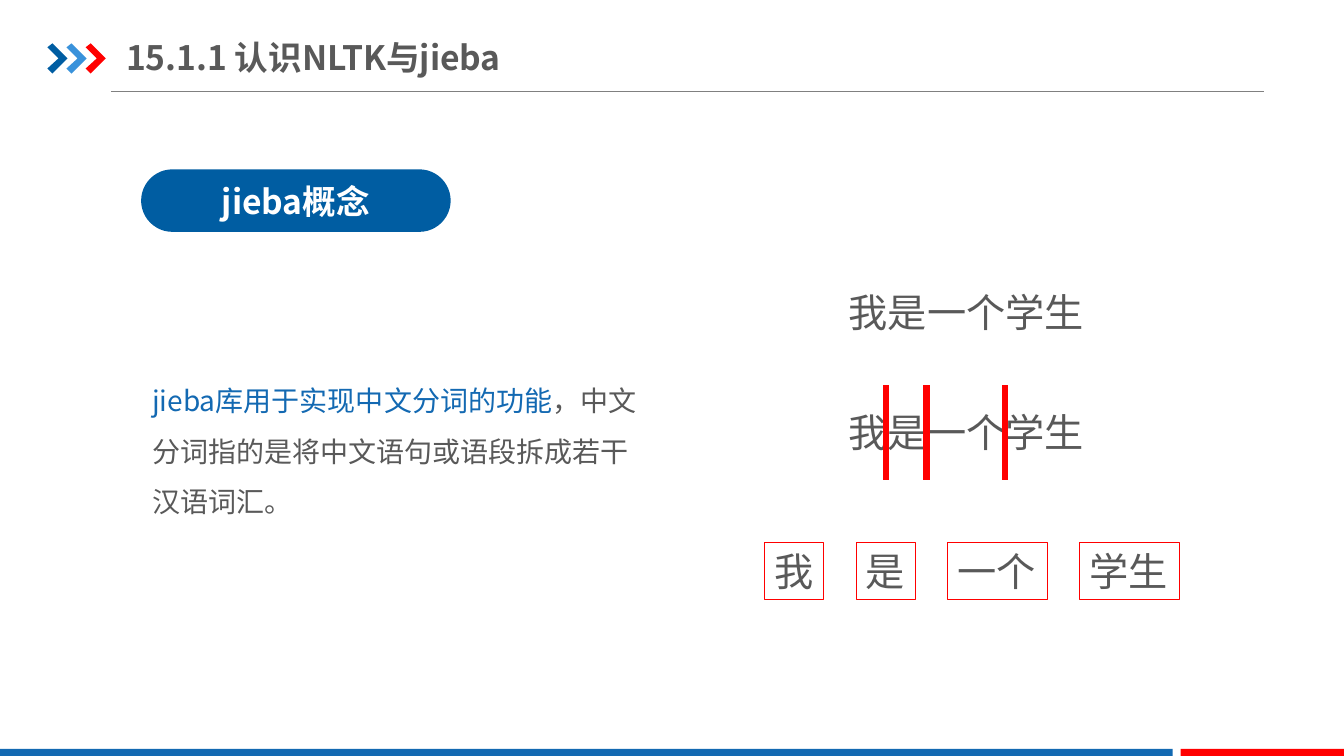
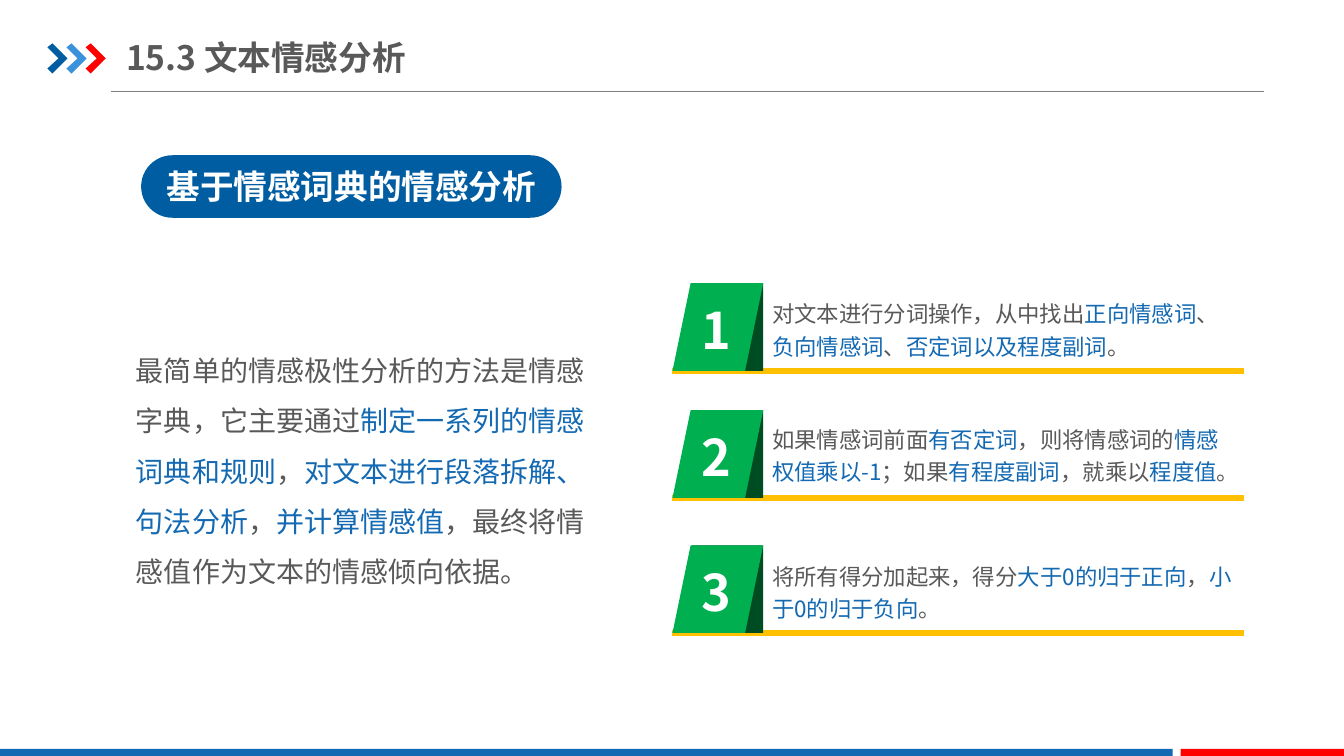
from dataclasses import dataclass

import pptx
import pptx.dml.color
import pptx.enum.shapes
import pptx.enum.text
import pptx.oxml.ns
import pptx.util
from lxml import etree

PX = 9144
FONT = "Noto Sans CJK SC"
COLORS = {
    "navy": "005DA2",
    "sky": "3992DB",
    "blue": "1369B2",
    "red": "FF0000",
    "text": "595959",
    "rule": "808080",
    "white": "FFFFFF",
    "green": "00B050",
    "forest": "004C22",
    "amber": "FFC000",
}
SHAPE = pptx.enum.shapes.MSO_SHAPE
ALIGN = pptx.enum.text.PP_ALIGN
ANCHOR = pptx.enum.text.MSO_ANCHOR
FIT = pptx.enum.text.MSO_AUTO_SIZE
CHEVRON = ((0, 4), (5, 0), (20, 15), (5, 30), (0, 25), (11, 15))


@dataclass(frozen=True)
class Run:
    text: str
    color: str = "text"


@dataclass(frozen=True)
class Style:
    size: int
    bold: bool = False
    align: ALIGN = ALIGN.LEFT
    spacing: float = 1.0


@dataclass(frozen=True)
class Step:
    top: int
    text_top: int
    runs: tuple[Run, ...]


HEADING = Style(24, bold=True)
PILL = Style(24, bold=True, align=ALIGN.CENTER)
BODY = Style(20, spacing=1.5)
SAMPLE = Style(28)
NUMBER = Style(36, bold=True)
STEP_TEXT = Style(16, spacing=1.2)

JIEBA = (
    Run("jieba库用于实现中文分词的功能", "blue"),
    Run("，中文分词指的是将中文语句或语段拆成若干汉语词汇。"),
)
SENTENCE = "我是一个学生"
WORDS = ("我", "是", "一个", "学生")
CUTS = (879, 919, 997)

LEXICON = (
    Run("最简单的情感极性分析的方法是情感字典，它主要通过"),
    Run("制定一系列的情感词典和规则", "blue"),
    Run("，"),
    Run("对文本进行段落拆解、句法分析", "blue"),
    Run("，"),
    Run("并计算情感值", "blue"),
    Run("，最终将情感值作为文本的情感倾向依据。"),
)
STEPS = (
    Step(281, 288, (
        Run("对文本进行分词操作，从中找出"),
        Run("正向情感词", "blue"),
        Run("、"),
        Run("负向情感词", "blue"),
        Run("、"),
        Run("否定词以及程度副词", "blue"),
        Run("。"),
    )),
    Step(407, 412, (
        Run("如果情感词前面"),
        Run("有否定词", "blue"),
        Run("，则将情感词的"),
        Run("情感权值乘以-1", "blue"),
        Run("；如果"),
        Run("有程度副词", "blue"),
        Run("，就乘以"),
        Run("程度值", "blue"),
        Run("。"),
    )),
    Step(541, 548, (
        Run("将所有得分加起来，得分"),
        Run("大于0的归于正向", "blue"),
        Run("，"),
        Run("小于0的归于负向", "blue"),
        Run("。"),
    )),
)


def px(*lengths: int) -> list[int]:
    return [pptx.util.Emu(n * PX) for n in lengths]


def rgb(name: str) -> pptx.dml.color.RGBColor:
    return pptx.dml.color.RGBColor.from_string(COLORS[name])


def write(tf, runs: tuple[Run, ...], style: Style) -> None:
    p = tf.paragraphs[0]
    p.alignment = style.align
    p.line_spacing = style.spacing
    for run in runs:
        r = p.add_run()
        r.text = run.text
        r.font.size = pptx.util.Pt(style.size)
        r.font.bold = style.bold
        r.font.name = FONT
        r.font.color.rgb = rgb(run.color)
        ea = etree.SubElement(r.font.language_id and r.font._element or r._r.get_or_add_rPr(),
                              pptx.oxml.ns.qn("a:ea"))
        ea.set("typeface", FONT)


def paint(sp, fill: str | None = None, line: str | None = None) -> None:
    sp.shadow.inherit = False
    if fill:
        sp.fill.solid()
        sp.fill.fore_color.rgb = rgb(fill)
    else:
        sp.fill.background()
    if line:
        sp.line.color.rgb = rgb(line)
        sp.line.width = pptx.util.Pt(0.75)
    else:
        sp.line.fill.background()


def block(s, kind: SHAPE, box: tuple[int, ...], fill: str | None = None, line: str | None = None):
    sp = s.shapes.add_shape(kind, *px(*box))
    paint(sp, fill, line)
    return sp


def label(s, box: tuple[int, ...], runs: tuple[Run, ...], style: Style, wrap: bool = True) -> None:
    tf = s.shapes.add_textbox(*px(*box)).text_frame
    tf.word_wrap = wrap
    tf.auto_size = FIT.SHAPE_TO_FIT_TEXT
    write(tf, runs, style)


def stroke(s, ends: tuple[int, ...], color: str, width: float) -> None:
    line = s.shapes.add_connector(pptx.enum.shapes.MSO_CONNECTOR.STRAIGHT, *px(*ends))
    line.line.color.rgb = rgb(color)
    line.line.width = pptx.util.Pt(width)
    etree.SubElement(line.element.spPr, pptx.oxml.ns.qn("a:effectLst"))


def chevron(s, left: int, top: int, color: str) -> None:
    points = [(left + x, top + y) for x, y in CHEVRON]
    outline = s.shapes.build_freeform(*points[0], scale=PX)
    outline.add_line_segments(points[1:], close=True)
    paint(outline.convert_to_shape(), color)


def new_slide(prs, title: str):
    s = prs.slides.add_slide(prs.slide_layouts[5])
    stroke(s, (110, 91, 1254, 91), "rule", 0.75)
    for i, color in enumerate(("navy", "sky", "red")):
        chevron(s, 47 + 19 * i, 43, color)
    block(s, SHAPE.RECTANGLE, (0, 743, 1163, 9), "blue")
    block(s, SHAPE.RECTANGLE, (1171, 743, 163, 9), "red")
    sp = s.shapes.title
    sp.left, sp.top, sp.width, sp.height = px(125, 29, 488, 55)
    tf = sp.text_frame
    tf.margin_left, tf.margin_top, tf.margin_right, tf.margin_bottom = px(0, 7, 0, 7)
    tf.vertical_anchor = ANCHOR.MIDDLE
    tf.auto_size = FIT.NONE
    write(tf, (Run(title),), HEADING)
    return s


def pill(s, top: int, width: int, text: str) -> None:
    sp = block(s, SHAPE.ROUNDED_RECTANGLE, (140, top, width, 62), "navy")
    sp.adjustments[0] = 0.5
    sp.text_frame.vertical_anchor = ANCHOR.MIDDLE
    write(sp.text_frame, (Run(text, "white"),), PILL)


def word_boxes(s) -> None:
    left = 758
    for word in WORDS:
        width = 19 + 40 * len(word)
        sp = block(s, SHAPE.RECTANGLE, (left, 538, width, 57), line="red")
        tf = sp.text_frame
        tf.word_wrap = False
        tf.auto_size = FIT.SHAPE_TO_FIT_TEXT
        tf.vertical_anchor = ANCHOR.TOP
        write(tf, (Run(word),), SAMPLE)
        left += width + 32


def draw_step(s, number: int, step: Step) -> None:
    base = step.top + 87
    stroke(s, (667, base, 1234, base), "amber", 4.5)
    block(s, SHAPE.RECTANGLE, (686, step.top, 71, 87), "forest")
    block(s, SHAPE.FLOWCHART_DATA, (667, step.top, 90, 87), "green")
    label(s, (686, step.top + 11, 51, 71), (Run(str(number), "white"),), NUMBER, wrap=False)
    label(s, (756, step.text_top, 477, 75), step.runs, STEP_TEXT)


def jieba_slide(prs) -> None:
    s = new_slide(prs, "15.1.1 认识NLTK与jieba")
    pill(s, 168, 307, "jieba概念")
    label(s, (141, 359, 502, 162), JIEBA, BODY)
    for top in (281, 400):
        label(s, (832, top, 256, 57), (Run(SENTENCE),), SAMPLE, wrap=False)
    for x in CUTS:
        stroke(s, (x, 382, x, 476), "red", 4.5)
    word_boxes(s)


def sentiment_slide(prs) -> None:
    s = new_slide(prs, "15.3 文本情感分析")
    pill(s, 154, 417, "基于情感词典的情感分析")
    label(s, (125, 329, 478, 263), LEXICON, BODY)
    for number, step in enumerate(STEPS, 1):
        draw_step(s, number, step)


def main() -> None:
    prs = pptx.Presentation()
    prs.slide_width, prs.slide_height = px(1333, 750)
    jieba_slide(prs)
    sentiment_slide(prs)
    prs.save("out.pptx")


if __name__ == "__main__":
    main()
